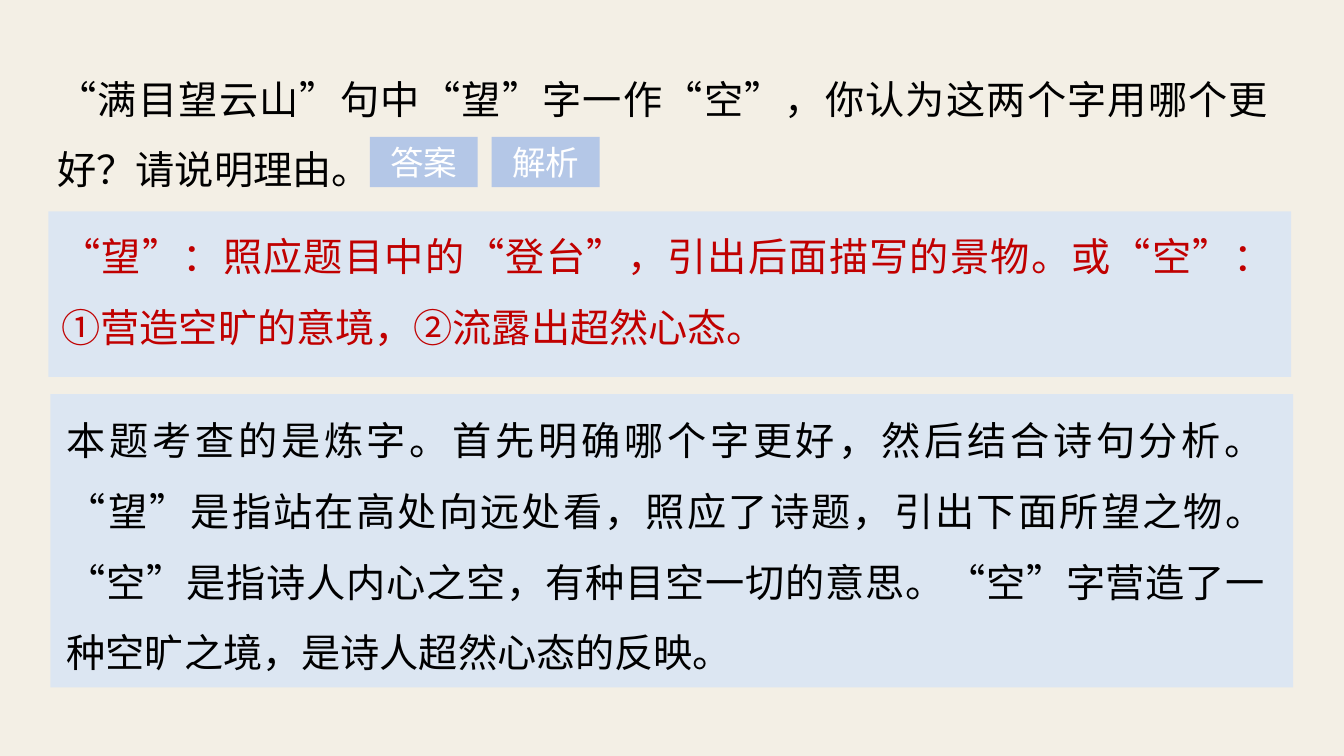
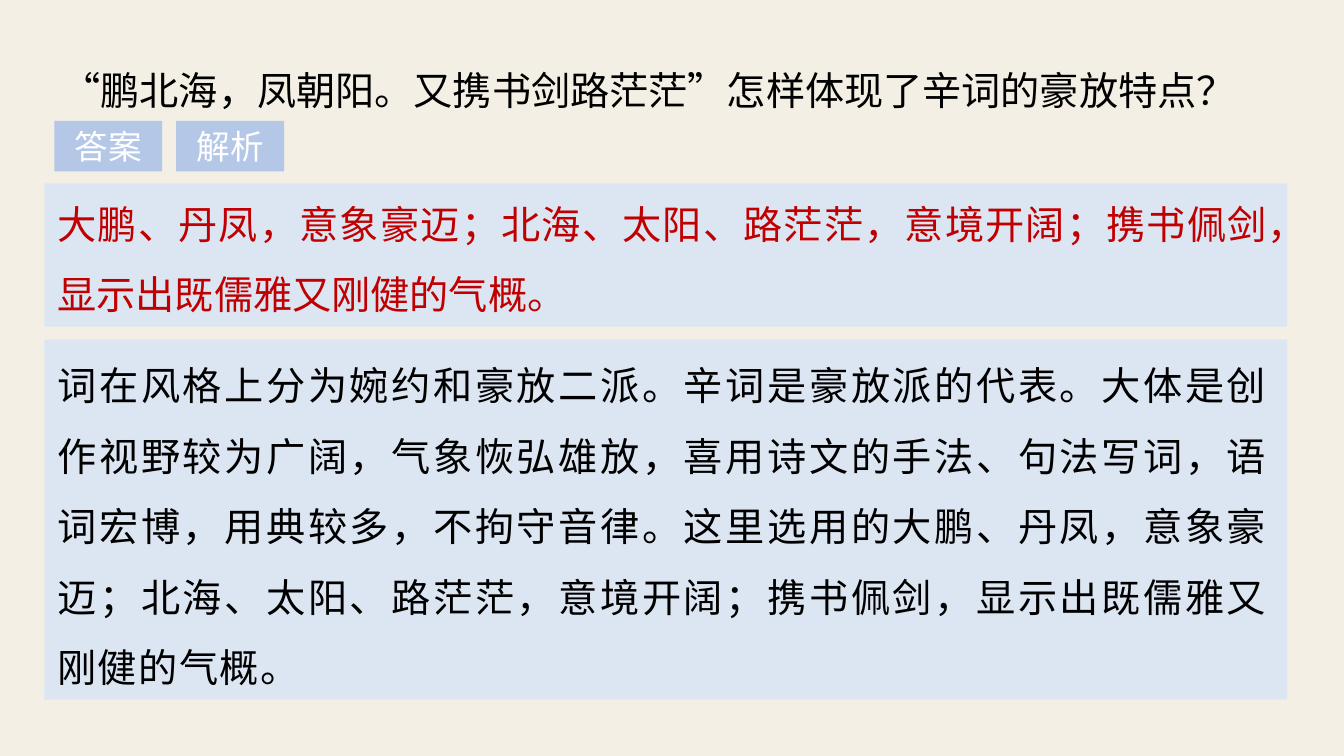
from itertools import groupby

from lxml.etree import SubElement
from pptx import Presentation
from pptx.dml.color import RGBColor
from pptx.enum.lang import MSO_LANGUAGE_ID as LANG
from pptx.enum.shapes import MSO_SHAPE as SHAPE
from pptx.enum.text import MSO_ANCHOR as ANCHOR, MSO_AUTO_SIZE as AUTO, PP_ALIGN as ALIGN
from pptx.oxml.ns import qn
from pptx.util import Cm, Pt

COLORS = {"page": "F3EFE5", "panel": "DCE6F2", "tag": "B4C7E7",
          "text": "000000", "answer": "C00000", "white": "FFFFFF"}
HAN, SERIF, SANS = "Noto Sans CJK SC", "Times New Roman", "Arial"
MARKS = "“”①②"
WIDE = 31.17
TAG_W, TAG_H, TAG_STEP = 2.72, 1.27, 3.07

# Lengths in cm: title (x, y, w, h), first tag (x, y), then per block
# the panel (x, y, h), the text (x, y, w, h), colour, letter gap and words.
SLIDES = [
    {"title": (1.12, 1.12, WIDE, 3.71),
     "ask": "“满目望云山”句中“望”字一作“空”，你认为这两个字用哪个更好？请说明理由。",
     "tags": (9.32, 3.45),
     "blocks": [
         ((1.22, 5.33, 4.17), (1.22, 5.08, WIDE, 3.71), "answer", 0,
          "“望”：照应题目中的“登台”，引出后面描写的景物。或“空”："
          "①营造空旷的意境，②流露出超然心态。"),
         ((1.27, 9.93, 7.39), (1.35, 9.73, 30.86, 7.29), "text", 0,
          "本题考查的是炼字。首先明确哪个字更好，然后结合诗句分析。"
          "“望”是指站在高处向远处看，照应了诗题，引出下面所望之物。"
          "“空”是指诗人内心之空，有种目空一切的意思。"
          "“空”字营造了一种空旷之境，是诗人超然心态的反映。")]},
    {"title": (1.22, 0.91, WIDE, 1.9),
     "ask": "“鹏北海，凤朝阳。又携书剑路茫茫”怎样体现了辛词的豪放特点？",
     "tags": (1.37, 3.05),
     "blocks": [
         ((1.12, 4.62, 3.61), (1.12, 4.27, WIDE, 3.71), "answer", 0,
          "大鹏、丹凤，意象豪迈；北海、太阳、路茫茫，意境开阔；"
          "携书佩剑，显示出既儒雅又刚健的气概。"),
         ((1.12, 8.56, 9.07), (1.12, 8.33, WIDE, 9.09), "text", 1,
          "词在风格上分为婉约和豪放二派。辛词是豪放派的代表。"
          "大体是创作视野较为广阔，气象恢弘雄放，喜用诗文的手法、句法写词，"
          "语词宏博，用典较多，不拘守音律。这里选用的大鹏、丹凤，意象豪迈；"
          "北海、太阳、路茫茫，意境开阔；携书佩剑，显示出既儒雅又刚健的气概。")]},
]


def write(box, words, color, size=28, face=SERIF, align=ALIGN.JUSTIFY, gap=0):
    """Fill a box with one paragraph; quotes and circled digits get the Han face."""
    frame = box.text_frame
    frame.word_wrap, frame.auto_size = True, AUTO.NONE
    para = frame.paragraphs[0]
    para.alignment = align
    for mark, part in groupby(words, key=lambda c: c in MARKS):
        run = para.add_run()
        run.text = "".join(part)
        font = run.font
        font.size, font.name = Pt(size), HAN if mark else face
        font.color.rgb = RGBColor.from_string(COLORS[color])
        font.language_id = LANG.SIMPLIFIED_CHINESE
        props = run._r.get_or_add_rPr()
        SubElement(props, qn("a:ea")).set("typeface", HAN)
        if gap:
            props.set("spc", str(gap * 100))
    return frame


def block(shapes, x, y, w, h, color):
    """Add a plain filled rectangle."""
    rect = shapes.add_shape(SHAPE.RECTANGLE, Cm(x), Cm(y), Cm(w), Cm(h))
    rect.shadow.inherit = False
    rect.fill.solid()
    rect.fill.fore_color.rgb = RGBColor.from_string(COLORS[color])
    rect.line.fill.background()
    return rect


prs = Presentation()
prs.slide_width, prs.slide_height = Cm(33.87), Cm(19.05)
page = prs.slide_master.background.fill
page.solid()
page.fore_color.rgb = RGBColor.from_string(COLORS["page"])

for data in SLIDES:
    shapes = prs.slides.add_slide(prs.slide_layouts[5]).shapes
    title = shapes.title
    title.left, title.top, title.width, title.height = map(Cm, data["title"])
    frames = [write(title, data["ask"], "text")]

    for (x, y, h), place, color, gap, words in data["blocks"]:
        block(shapes, x, y, 31.32, h, "panel")
        box = shapes.add_textbox(*map(Cm, place))
        frames.append(write(box, words, color, gap=gap))

    for frame in frames:
        frame.vertical_anchor = ANCHOR.TOP
        frame.margin_left = frame.margin_right = Cm(0.33)
        frame.margin_top = frame.margin_bottom = Cm(0.18)
        frame.paragraphs[0].line_spacing = 1.5

    x, y = data["tags"]
    for i, label in enumerate(("答案", "解析")):
        tag = block(shapes, x + i * TAG_STEP, y, TAG_W, TAG_H, "tag")
        write(tag, label, "white", 24, SANS, ALIGN.CENTER)

prs.save("out.pptx")
